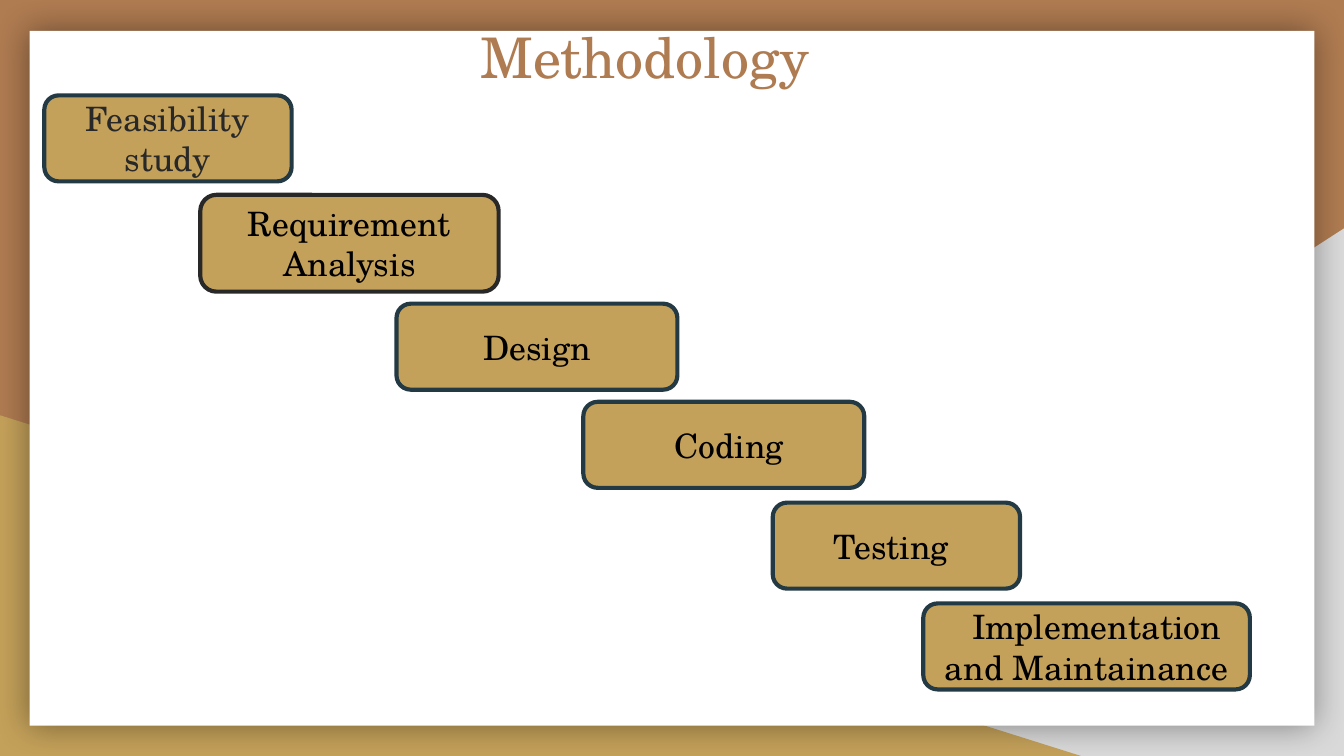
from dataclasses import dataclass

from lxml import etree
from pptx import Presentation
from pptx import util as u
from pptx.dml.color import RGBColor
from pptx.enum import shapes, text
from pptx.oxml import ns

FONT = "TeX Gyre Schola"
BROWN, GOLD, GREY, WHITE = "AF7B51", "C4A15A", "D9D9D9", "FFFFFF"
NAVY, CHARCOAL, BLACK = "233A44", "282828", "000000"
ALTERNATE = shapes.MSO_SHAPE.FLOWCHART_ALTERNATE_PROCESS
ROUNDED = shapes.MSO_SHAPE.ROUNDED_RECTANGLE


@dataclass
class Stage:
    label: str
    left: float
    top: float
    width: float
    height: float = 0.64
    kind: int = ALTERNATE
    outline: str = NAVY
    ink: str = BLACK
    indent: float = 0
    right_inset: float = 0.1


STAGES = [
    Stage("Feasibility study", 0.33, 0.71, 1.84, ink=CHARCOAL),
    Stage("Requirement Analysis", 1.49, 1.45, 2.22, 0.72, ROUNDED, CHARCOAL),
    Stage("Design", 2.95, 2.26, 2.09),
    Stage("Coding", 4.34, 2.99, 2.09, indent=0.08),
    Stage("Testing", 5.75, 3.74, 1.84, right_inset=0.18),
    Stage("Implementation and Maintainance", 6.87, 4.49, 2.43, indent=0.15),
]


def color(value: str) -> RGBColor:
    return RGBColor.from_string(value)


def add_block(page, kind, left, top, width, height, fill):
    shape = page.shapes.add_shape(
        kind, u.Inches(left), u.Inches(top), u.Inches(width), u.Inches(height))
    shape.shadow.inherit = False
    shape.fill.solid()
    shape.fill.fore_color.rgb = color(fill)
    shape.line.fill.background()
    return shape


def write(shape, label: str, *, size: float, ink: str, anchor,
          indent: float = 0, right_inset: float = 0.1) -> None:
    frame = shape.text_frame
    frame.word_wrap = True
    frame.auto_size = text.MSO_AUTO_SIZE.NONE
    frame.vertical_anchor = anchor
    frame.margin_left = frame.margin_top = frame.margin_bottom = u.Inches(0.1)
    frame.margin_right = u.Inches(right_inset)
    para = frame.paragraphs[0]
    para.alignment = text.PP_ALIGN.CENTER
    if indent:
        para._p.get_or_add_pPr().set("indent", str(u.Inches(indent)))
    span = para.add_run()
    span.text = label
    span.font.name = FONT
    span.font.size = u.Pt(size)
    span.font.color.rgb = color(ink)


def add_glow_shadow(shape, blur: float, opacity: int) -> None:
    effects = shape._element.spPr.find(ns.qn("a:effectLst"))
    shadow = etree.SubElement(effects, ns.qn("a:outerShdw"),
                              blurRad=str(u.Pt(blur)), dist="0", dir="0",
                              algn="ctr", rotWithShape="0")
    tint = etree.SubElement(shadow, ns.qn("a:srgbClr"), val=BLACK)
    etree.SubElement(tint, ns.qn("a:alpha"), val=str(opacity * 1000))


def add_backdrop(page) -> None:
    page.background.fill.solid()
    page.background.fill.fore_color.rgb = color(BROWN)
    triangle = shapes.MSO_SHAPE.RIGHT_TRIANGLE
    corner = add_block(page, triangle, 3.92, 1.7, 6.08, 3.93, GREY)
    corner._element.spPr.xfrm.set("flipH", "1")
    add_block(page, triangle, 0, 3.09, 8.06, 2.54, GOLD)
    panel = add_block(page, shapes.MSO_SHAPE.RECTANGLE, 0.22, 0.23, 9.56, 5.17, WHITE)
    add_glow_shadow(panel, blur=18, opacity=40)


def add_title(page, label: str) -> None:
    title = page.shapes.title
    title.left, title.top = u.Inches(0.21), u.Inches(0.07)
    title.width, title.height = u.Inches(9.18), u.Inches(0.64)
    write(title, label, size=30, ink=BROWN, anchor=text.MSO_ANCHOR.TOP)
    page.shapes._spTree.append(title._element)


def add_stage(page, stage: Stage) -> None:
    box = add_block(page, stage.kind, stage.left, stage.top,
                    stage.width, stage.height, GOLD)
    box.line.color.rgb = color(stage.outline)
    box.line.width = u.Pt(2.25)
    write(box, stage.label, size=18, ink=stage.ink, anchor=text.MSO_ANCHOR.MIDDLE,
          indent=stage.indent, right_inset=stage.right_inset)


def main() -> None:
    deck = Presentation()
    deck.slide_width = u.Inches(10)
    deck.slide_height = u.Inches(10 * 9 / 16)
    page = deck.slides.add_slide(deck.slide_layouts[5])
    add_backdrop(page)
    add_title(page, "Methodology")
    for stage in STAGES:
        add_stage(page, stage)
    deck.save("out.pptx")


if __name__ == "__main__":
    main()
